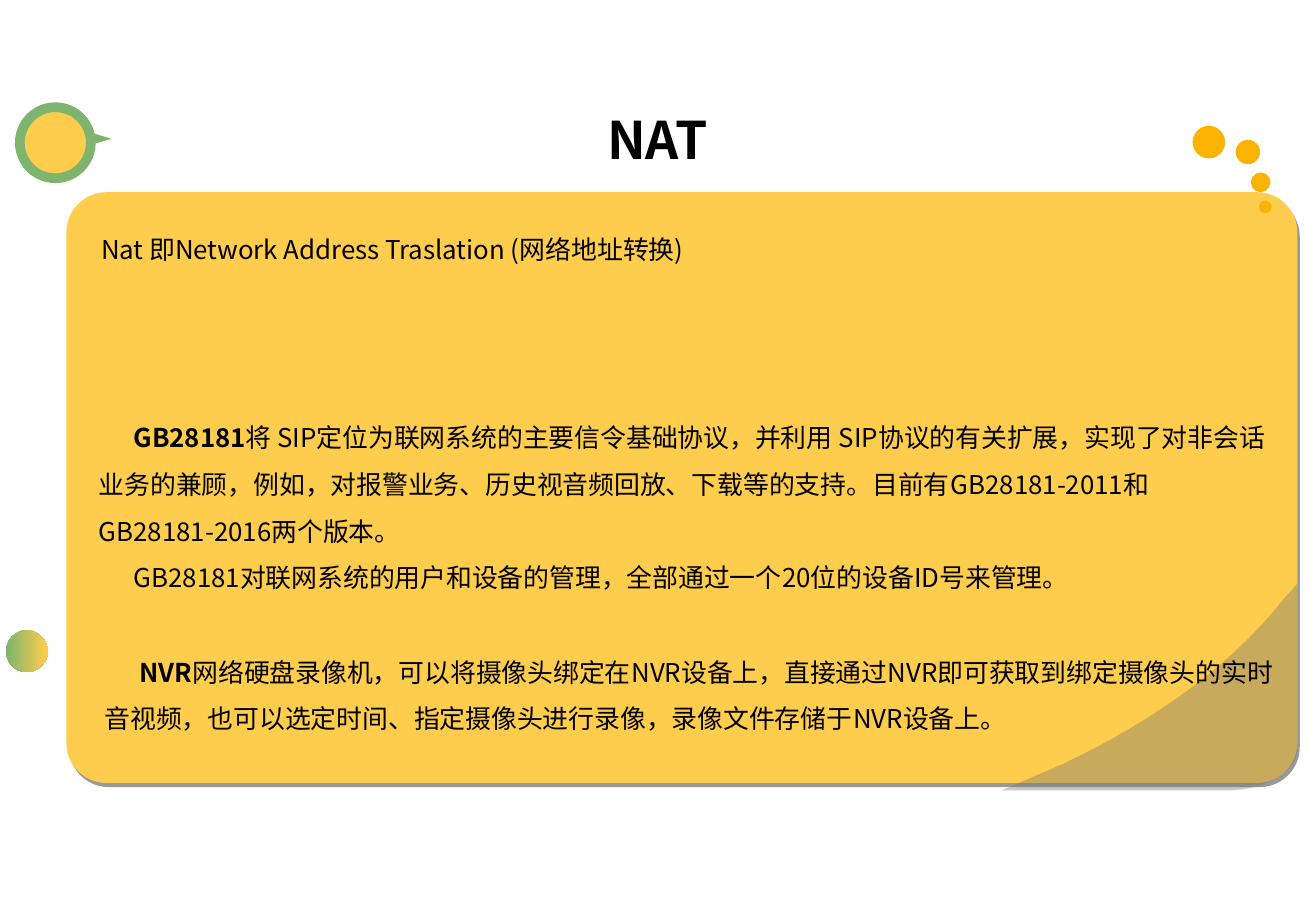
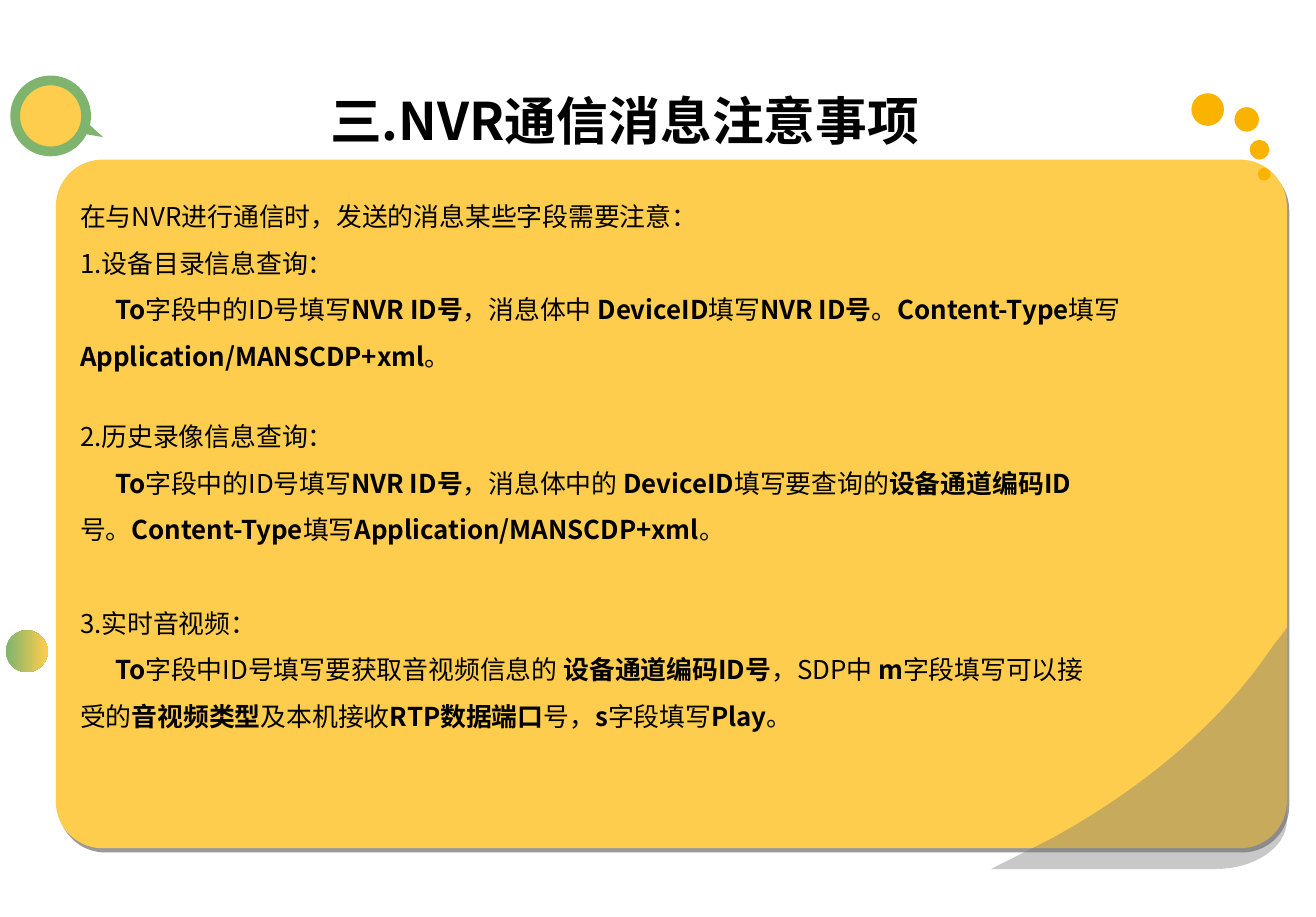
from math import cos, radians, sin

from lxml import etree
from pptx import Presentation
from pptx.dml.color import RGBColor
from pptx.enum.shapes import MSO_SHAPE
from pptx.enum.text import MSO_ANCHOR, PP_ALIGN
from pptx.oxml import parse_xml
from pptx.oxml.ns import qn
from pptx.util import Inches, Pt

ELLIPSE = MSO_SHAPE.OVAL
ROUNDED = MSO_SHAPE.ROUNDED_RECTANGLE
TRIANGLE = MSO_SHAPE.ISOSCELES_TRIANGLE
TOP, MIDDLE = MSO_ANCHOR.TOP, MSO_ANCHOR.MIDDLE
LEFT, CENTER = PP_ALIGN.LEFT, PP_ALIGN.CENTER

BLACK = RGBColor(0x00, 0x00, 0x00)
GREEN = RGBColor(0x7E, 0xB4, 0x6E)
YELLOW = RGBColor(0xFF, 0xCD, 0x4D)
ORANGE = RGBColor(0xFA, 0xB3, 0x00)
GRAY = RGBColor(0x77, 0x77, 0x77)

FONT = "Noto Sans CJK SC"
TITLE = {"size": Pt(32), "bold": True}
BODY = {"size": Pt(16), "bold": False}
FIRST_LINE = Inches(0.3)
BLANK_LINE = Pt(28.8)

CARD_WIDTH = 10.57
FOLD_WIDTH = 2.54
FOLD_CURVES = [
    [(1, 0.8), (1, 0.91), (0.89, 1), (0.76, 1)],
    [(0.21, 0.87), (0.52, 0.66), (0.78, 0.39), (0.95, 0.08)],
]
FOLD_START = (1, 0)
FOLD_TIP = (0, 1)
CURVE_STEPS = 16
DOTS = [(0, 0, 0.28), (0.37, 0.12, 0.21), (0.5, 0.4, 0.17), (0.57, 0.64, 0.11)]
BUBBLE = 0.61
TAIL_WIDTH, TAIL_HEIGHT, TAIL_REACH = 0.1, 0.17, 0.4
SHADOW = (
    '<a:effectLst xmlns:a="http://schemas.openxmlformats.org/drawingml/2006/main">'
    '<a:outerShdw blurRad="0" dist="38100" dir="3600000" algn="ctr" rotWithShape="0">'
    '<a:srgbClr val="000000"><a:alpha val="40000"/></a:srgbClr>'
    "</a:outerShdw></a:effectLst>"
)

SLIDES = [
    {
        "title": ("NAT", 2.23, 0.69),
        "card": (0.57, 1.65, 5.07),
        "fold_top": 5.01,
        "dots": (10.24, 1.08),
        "bubble": (0.17, 0.92, 90.2),
        "texts": [
            (0.75, 3.44, 10.25, 1.7, [
                ("*GB28181*将 SIP定位为联网系统的主要信令基础协议，并利用 SIP协议的有关扩展，实现了对非会话业务的兼顾，例如，对报警业务、历史视音频回放、下载等的支持。目前有GB28181-2011和 GB28181-2016两个版本。", FIRST_LINE, 0),
                ("GB28181对联网系统的用户和设备的管理，全部通过一个20位的设备ID号来管理。", FIRST_LINE, 0),
            ]),
            (0.77, 1.82, 10.21, 0.5, [
                ("Nat 即Network Address Traslation (网络地址转换)", 0, 0),
            ]),
            (0.8, 5.45, 10.25, 0.9, [
                ("*NVR*网络硬盘录像机，可以将摄像头绑定在NVR设备上，直接通过NVR即可获取到绑定摄像头的实时音视频，也可以选定时间、指定摄像头进行录像，录像文件存储于NVR设备上。", FIRST_LINE, 0),
            ]),
        ],
    },
    {
        "title": ("三.NVR通信消息注意事项", 1.95, 0.53),
        "card": (0.48, 1.37, 5.91),
        "fold_top": 5.39,
        "dots": (10.23, 0.8),
        "bubble": (0.13, 0.69, 116.2),
        "texts": [
            (0.59, 1.54, 10.21, 1.7, [
                ("在与NVR进行通信时，发送的消息某些字段需要注意：", 0, 0),
                ("1.设备目录信息查询：", 0, 0),
                ("*To*字段中的ID号填写*NVR ID号*，消息体中 *DeviceID*填写*NVR ID号*。*Content-Type*填写*Application/MANSCDP+xml*。", FIRST_LINE, 0),
            ]),
            (0.59, 3.43, 8.86, 3.3, [
                ("2.历史录像信息查询：", 0, 0),
                ("*To*字段中的ID号填写*NVR ID号*，消息体中的 *DeviceID*填写要查询的*设备通道编码ID*号。*Content-Type*填写*Application/MANSCDP+xml*。", FIRST_LINE, 0),
                ("3.实时音视频：", 0, BLANK_LINE),
                ("*To*字段中ID号填写要获取音视频信息的 *设备通道编码ID号*，SDP中 *m*字段填写可以接受的*音视频类型*及本机接收*RTP数据端口*号，*s*字段填写*Play*。", FIRST_LINE, 0),
            ]),
        ],
    },
]


def add_figure(slide, kind, left, top, width, height, color):
    figure = slide.shapes.add_shape(kind, Inches(left), Inches(top), Inches(width), Inches(height))
    figure.shadow.inherit = False
    figure.fill.solid()
    figure.fill.fore_color.rgb = color
    figure.line.fill.background()
    return figure


def add_text(slide, left, top, width, height, paragraphs, style, align, anchor, spacing):
    box = slide.shapes.add_textbox(Inches(left), Inches(top), Inches(width), Inches(height))
    frame = box.text_frame
    frame.word_wrap = True
    frame.vertical_anchor = anchor
    for number, (text, indent, gap) in enumerate(paragraphs):
        paragraph = frame.add_paragraph() if number else frame.paragraphs[0]
        paragraph.alignment = align
        paragraph.line_spacing = spacing
        if gap:
            paragraph.space_before = gap
        if indent:
            paragraph._p.get_or_add_pPr().set("indent", str(indent))
        for part, words in enumerate(text.split("*")):
            if not words:
                continue
            run = paragraph.add_run()
            run.text = words
            for name, value in {**style, "name": FONT}.items():
                setattr(run.font, name, value)
            if part % 2:
                run.font.bold = True
            run.font.color.rgb = BLACK
            etree.SubElement(run._r.get_or_add_rPr(), qn("a:ea")).set("typeface", FONT)


prs = Presentation()
prs.slide_width = Inches(11.3)
prs.slide_height = Inches(7.87)

for content in SLIDES:
    slide = prs.slides.add_slide(prs.slide_layouts[6])

    title, title_left, title_top = content["title"]
    add_text(slide, title_left, title_top, 6.83, 1, [(title, 0, 0)], TITLE, CENTER, MIDDLE, 1.0)

    side_ball = add_figure(slide, ELLIPSE, 0.05, 5.41, 0.36, 0.36, GREEN)
    side_ball.fill.gradient()
    side_ball.fill.gradient_angle = 0
    for stop, color in zip(side_ball.fill.gradient_stops, (GREEN, YELLOW)):
        stop.color.rgb = color

    card_left, card_top, card_height = content["card"]
    card = add_figure(slide, ROUNDED, card_left, card_top, CARD_WIDTH, card_height, YELLOW)
    card.adjustments[0] = 0.068
    card_properties = card._element.spPr
    card_properties.remove(card_properties.find(qn("a:effectLst")))
    card_properties.append(parse_xml(SHADOW))

    outline = [FOLD_START]
    for curve in FOLD_CURVES:
        for step in range(CURVE_STEPS + 1):
            t = step / CURVE_STEPS
            weights = ((1 - t) ** 3, 3 * t * (1 - t) ** 2, 3 * t * t * (1 - t), t ** 3)
            outline.append(tuple(sum(w * p[axis] for w, p in zip(weights, curve)) for axis in (0, 1)))
        if curve is FOLD_CURVES[0]:
            outline.append(FOLD_TIP)
    fold_left = card_left + CARD_WIDTH - FOLD_WIDTH
    fold_height = card_height * 0.35
    corners = [
        (Inches(fold_left + x * FOLD_WIDTH), Inches(content["fold_top"] + y * fold_height))
        for x, y in outline
    ]
    builder = slide.shapes.build_freeform(*corners[0])
    builder.add_line_segments(corners[1:], close=True)
    fold = builder.convert_to_shape()
    fold.shadow.inherit = False
    fold.fill.solid()
    fold.fill.fore_color.rgb = GRAY
    fold.line.fill.background()
    fold_color = fold._element.spPr.find(qn("a:solidFill"))[0]
    etree.SubElement(fold_color, qn("a:alpha")).set("val", "40000")

    dots_left, dots_top = content["dots"]
    for x, y, size in DOTS:
        add_figure(slide, ELLIPSE, dots_left + x, dots_top + y, size, size, ORANGE)

    bubble_left, bubble_top, turn = content["bubble"]
    bubble = add_figure(slide, ELLIPSE, bubble_left, bubble_top, BUBBLE, BUBBLE, YELLOW)
    bubble.line.color.rgb = GREEN
    bubble.line.width = Pt(6)
    direction = radians(turn - 95)
    tail_left = bubble_left + BUBBLE / 2 + TAIL_REACH * cos(direction) - TAIL_WIDTH / 2
    tail_top = bubble_top + BUBBLE / 2 + TAIL_REACH * sin(direction) - TAIL_HEIGHT / 2
    tail = add_figure(slide, TRIANGLE, tail_left, tail_top, TAIL_WIDTH, TAIL_HEIGHT, GREEN)
    tail.rotation = turn

    for left, top, width, height, paragraphs in content["texts"]:
        add_text(slide, left, top, width, height, paragraphs, BODY, LEFT, TOP, 1.5)

prs.save("out.pptx")
